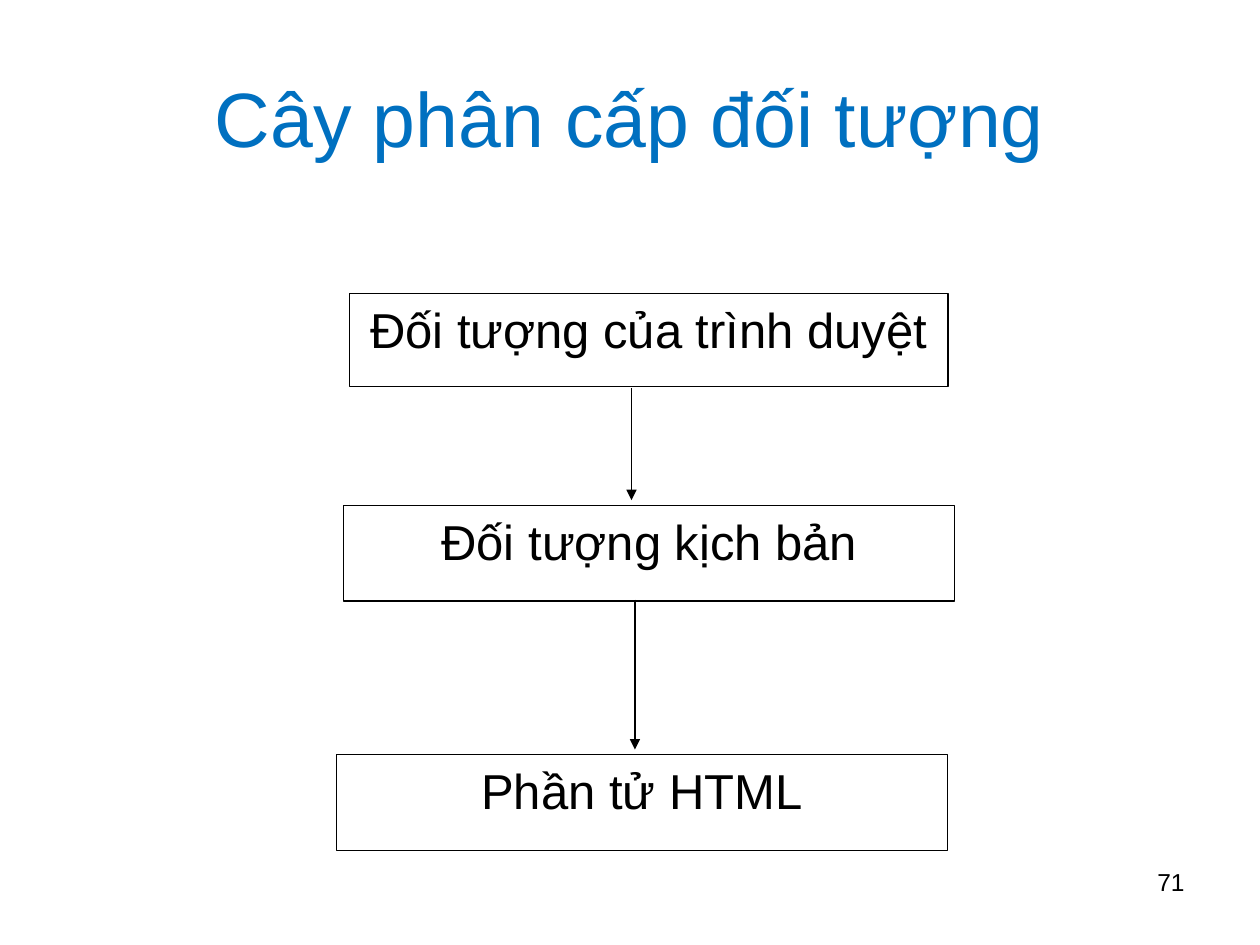
from lxml.etree import SubElement
from pptx import Presentation
from pptx.dml.color import RGBColor
from pptx.enum.shapes import MSO_CONNECTOR, MSO_SHAPE
from pptx.enum.text import MSO_ANCHOR, PP_ALIGN
from pptx.oxml.ns import qn
from pptx.util import Cm, Pt

BLUE = RGBColor(0x00, 0x70, 0xC0)
BLACK = RGBColor(0x00, 0x00, 0x00)
WHITE = RGBColor(0xFF, 0xFF, 0xFF)


def write(shape, text, size, color, alignment, anchor=MSO_ANCHOR.TOP):
    frame = shape.text_frame
    frame.word_wrap = True
    frame.vertical_anchor = anchor
    paragraph = frame.paragraphs[0]
    paragraph.text = text
    paragraph.alignment = alignment
    paragraph.font.name = "Arial"
    paragraph.font.size = Pt(size)
    paragraph.font.color.rgb = color


presentation = Presentation()
presentation.slide_width = Cm(25.4)
presentation.slide_height = Cm(19.05)
slide = presentation.slides.add_slide(presentation.slide_layouts[5])

# Title
title = slide.shapes.title
title.left, title.top, title.width, title.height = Cm(1.27), Cm(0.76), Cm(22.86), Cm(3.18)
write(title, "Cây phân cấp đối tượng", 44, BLUE, PP_ALIGN.CENTER, MSO_ANCHOR.MIDDLE)

# Slide number
number = slide.shapes.add_textbox(Cm(18.21), Cm(17.35), Cm(5.92), Cm(1.32))
write(number, "71", 14, BLACK, PP_ALIGN.RIGHT)

# Levels of the hierarchy: text, left, top, width, height
levels = [
    ("Đối tượng của trình duyệt", 7.04, 5.92, 12.07, 1.88),
    ("Đối tượng kịch bản", 6.93, 10.19, 12.32, 1.93),
    ("Phần tử HTML", 6.78, 15.21, 12.32, 1.93),
]
for text, left, top, width, height in levels:
    box = slide.shapes.add_shape(
        MSO_SHAPE.RECTANGLE, Cm(left), Cm(top), Cm(width), Cm(height))
    box.shadow.inherit = False
    box.fill.solid()
    box.fill.fore_color.rgb = WHITE
    box.line.color.rgb = BLACK
    box.line.width = Pt(0.75)
    write(box, text, 28, BLACK, PP_ALIGN.CENTER)

# Arrows from each level to the next: x, start, end
for x, start, end in [(12.73, 7.82, 10.08), (12.8, 12.09, 15.11)]:
    arrow = slide.shapes.add_connector(
        MSO_CONNECTOR.STRAIGHT, Cm(x), Cm(start), Cm(x), Cm(end))
    arrow.line.color.rgb = BLACK
    arrow.line.width = Pt(0.75)
    SubElement(arrow.line._get_or_add_ln(), qn("a:tailEnd"), type="triangle")
    SubElement(arrow._element.spPr, qn("a:effectLst"))

presentation.save("out.pptx")
